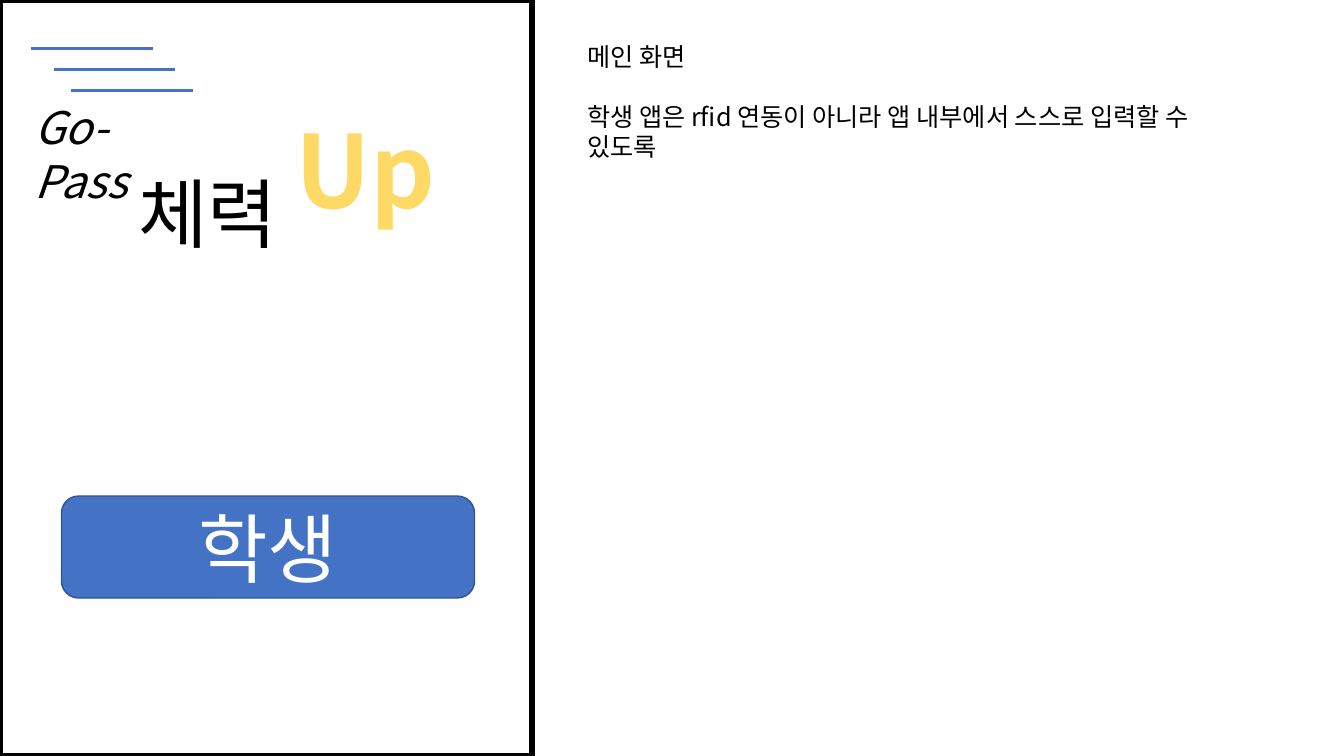
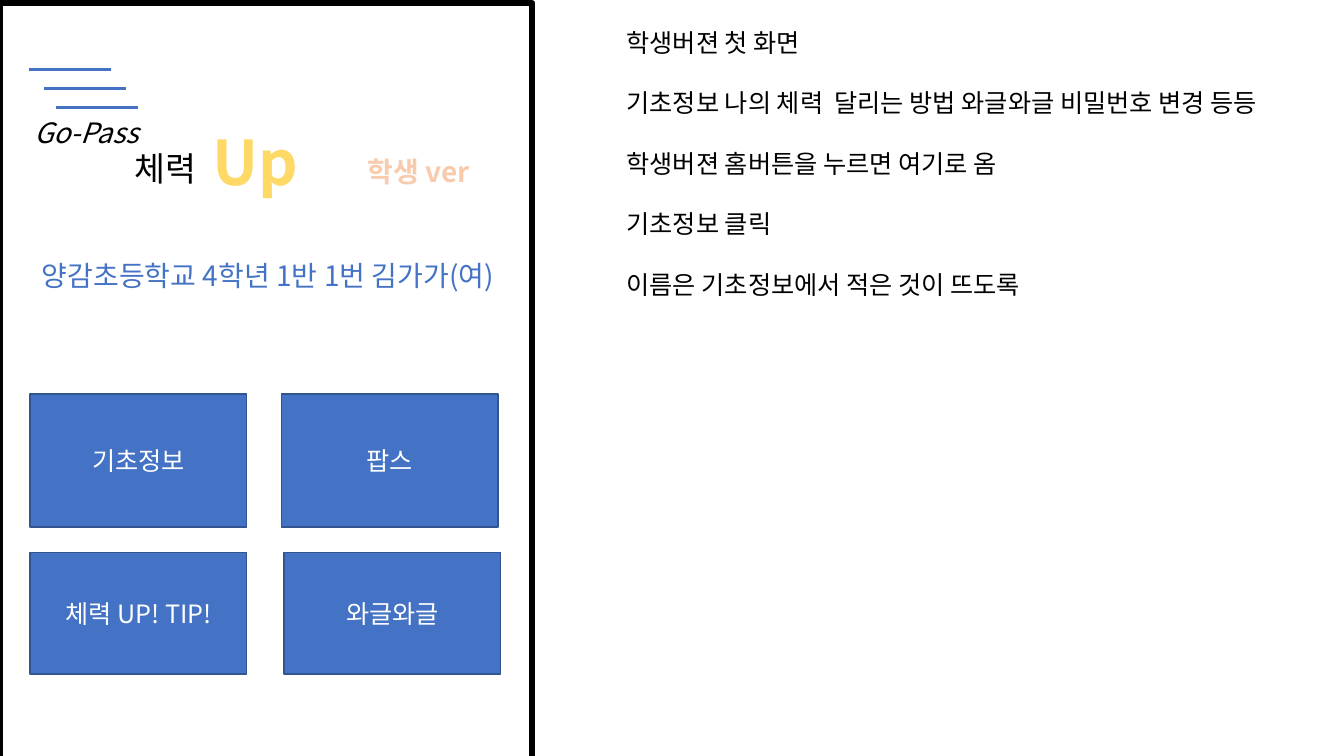
"""Build two mock-up slides of a student fitness app."""
import dataclasses

import lxml.etree
import pptx
import pptx.dml.color
import pptx.enum.shapes
import pptx.enum.text
import pptx.oxml.ns
import pptx.shapes.autoshape
import pptx.shapes.shapetree
import pptx.slide
import pptx.text.text
import pptx.util

Cm = pptx.util.Cm
Pt = pptx.util.Pt
Align = pptx.enum.text.PP_ALIGN
Preset = pptx.enum.shapes.MSO_SHAPE
Shapes = pptx.shapes.shapetree.SlideShapes | pptx.shapes.shapetree.GroupShapes

FONT = "Noto Sans CJK KR"
BLACK, WHITE = "000000", "FFFFFF"
BLUE, DARK_BLUE = "4472C4", "325491"
GOLD, PEACH = "FFD966", "F8CBAD"
FRAME_WIDTH, PAGE_HEIGHT = 13.41, 19.05
STRIPE_SHIFTS = (0, 0.185, 0.33)


@dataclasses.dataclass
class Area:
    """A rectangle in centimetres."""
    left: float
    top: float
    width: float
    height: float

    def lengths(self) -> tuple[pptx.util.Length, ...]:
        return tuple(Cm(value) for value in dataclasses.astuple(self))


@dataclasses.dataclass
class Label:
    """A piece of text with its place and style."""
    text: str
    area: Area
    size: float = 18
    color: str = BLACK
    align: Align = Align.LEFT
    bold: bool = False
    italic: bool = False
    wrap: bool = True
    gap: float = 0


@dataclasses.dataclass
class Button:
    """A filled button with a centred caption."""
    text: str
    area: Area
    size: float = 18
    preset: Preset = Preset.RECTANGLE


@dataclasses.dataclass
class Stripes:
    """The three speed lines above the app name."""
    left: float
    top: float
    length: float
    step: float


def rgb(color: str) -> pptx.dml.color.RGBColor:
    return pptx.dml.color.RGBColor.from_string(color)


def style_text(frame: pptx.text.text.TextFrame, label: Label) -> None:
    frame.text = label.text
    frame.word_wrap = label.wrap
    for para in frame.paragraphs:
        para.alignment = label.align
        para.space_after = Pt(label.gap)
        for span in para.runs:
            span.font.name = FONT
            span.font.size = Pt(label.size)
            span.font.bold = label.bold
            span.font.italic = label.italic
            span.font.color.rgb = rgb(label.color)
            east_asian = lxml.etree.Element(pptx.oxml.ns.qn("a:ea"), typeface=FONT)
            span.font._element.find(pptx.oxml.ns.qn("a:latin")).addnext(east_asian)


def add_label(shapes: Shapes, label: Label) -> None:
    box = shapes.add_textbox(*label.area.lengths())
    style_text(box.text_frame, label)
    box.text_frame.auto_size = pptx.enum.text.MSO_AUTO_SIZE.SHAPE_TO_FIT_TEXT


def add_panel(shapes: Shapes, preset: Preset, area: Area, fill: str, line: str,
              weight: float) -> pptx.shapes.autoshape.Shape:
    panel = shapes.add_shape(preset, *area.lengths())
    panel.shadow.inherit = False
    panel.fill.solid()
    panel.fill.fore_color.rgb = rgb(fill)
    panel.line.color.rgb = rgb(line)
    panel.line.width = Pt(weight)
    return panel


def add_button(shapes: Shapes, button: Button) -> None:
    panel = add_panel(shapes, button.preset, button.area, BLUE, DARK_BLUE, 1)
    panel.text_frame.vertical_anchor = pptx.enum.text.MSO_ANCHOR.MIDDLE
    style_text(panel.text_frame,
               Label(button.text, button.area, button.size, WHITE, Align.CENTER))


def add_stripes(shapes: Shapes, stripes: Stripes) -> None:
    for index, shift in enumerate(STRIPE_SHIFTS):
        left = stripes.left + shift * stripes.length
        height = Cm(stripes.top + index * stripes.step)
        stripe = shapes.add_connector(pptx.enum.shapes.MSO_CONNECTOR.STRAIGHT,
                                      Cm(left), height, Cm(left + stripes.length), height)
        stripe.line.color.rgb = rgb(BLUE)
        stripe.line.width = Pt(2)
        lxml.etree.SubElement(stripe._element.spPr, pptx.oxml.ns.qn("a:effectLst"))


def add_heading(page: pptx.slide.Slide, fitness: Area, up: Area, name: Area,
                sizes: tuple[float, float, float], stripes: Stripes) -> None:
    shapes = page.shapes.add_group_shape().shapes
    add_label(shapes, Label("체력", fitness, sizes[0], align=Align.CENTER, wrap=False))
    add_label(shapes, Label("Up", up, sizes[1], GOLD, Align.CENTER, bold=True))
    add_label(shapes, Label("Go-Pass", name, sizes[2], italic=True))
    add_stripes(shapes, stripes)


def add_page(deck: pptx.presentation.Presentation, frame_top: float) -> pptx.slide.Slide:
    page = deck.slides.add_slide(deck.slide_layouts[6])
    add_panel(page.shapes, Preset.RECTANGLE,
              Area(0, frame_top, FRAME_WIDTH, PAGE_HEIGHT), WHITE, BLACK, 4.5)
    return page


def add_notes(page: pptx.slide.Slide, area: Area, lines: list[str]) -> None:
    add_label(page.shapes, Label("\n".join(lines), area, gap=21.6))


def build_main(deck: pptx.presentation.Presentation) -> None:
    page = add_page(deck, 0)
    add_button(page.shapes, Button("학생", Area(1.55, 12.5, 10.41, 2.57), 54,
                                   Preset.ROUNDED_RECTANGLE))
    add_notes(page, Area(14.55, 0.91, 15.85, 3.33), [
        "메인 화면",
        "학생 앱은 rfid 연동이 아니라 앱 내부에서 스스로 입력할 수 있도록",
    ])
    add_heading(page, Area(3.05, 4.09, 4.37, 2.57), Area(7.16, 2.59, 4.09, 3.33),
                Area(0.61, 2.39, 4.7, 1.63), (54, 72, 32),
                Stripes(0.79, 1.22, 3.06, 0.53))


def build_student(deck: pptx.presentation.Presentation) -> None:
    page = add_page(deck, 0.08)
    for button in (
        Button("기초정보", Area(0.76, 9.93, 5.46, 3.35)),
        Button("팝스", Area(7.09, 9.93, 5.46, 3.35)),
        Button("체력 UP! TIP!", Area(0.76, 13.92, 5.46, 3.07)),
        Button("와글와글", Area(7.16, 13.92, 5.46, 3.07)),
    ):
        add_button(page.shapes, button)
    add_label(page.shapes, Label("학생 ver", Area(8.38, 3.76, 4.34, 1.12), 20, PEACH,
                                 Align.CENTER, bold=True))
    add_notes(page, Area(15.54, 0.56, 16.76, 7.95), [
        "학생버젼 첫 화면",
        "기초정보 나의 체력  달리는 방법 와글와글 비밀번호 변경 등등",
        "학생버젼 홈버튼을 누르면 여기로 옴",
        "기초정보 클릭",
        "이름은 기초정보에서 적은 것이 뜨도록",
    ])
    add_heading(page, Area(3.05, 3.61, 2.24, 1.27), Area(5.05, 3, 2.77, 2.13),
                Area(0.61, 2.79, 3.2, 1.12), (24, 44, 20),
                Stripes(0.74, 1.75, 2.06, 0.48))
    add_label(page.shapes, Label("양감초등학교 4학년 1반 1번 김가가(여)",
                                 Area(0.08, 6.38, 13.34, 1.12), 20, BLUE, Align.CENTER))


def main() -> None:
    deck = pptx.Presentation()
    deck.slide_width, deck.slide_height = Cm(33.87), Cm(PAGE_HEIGHT)
    build_main(deck)
    build_student(deck)
    deck.save("out.pptx")


main()
